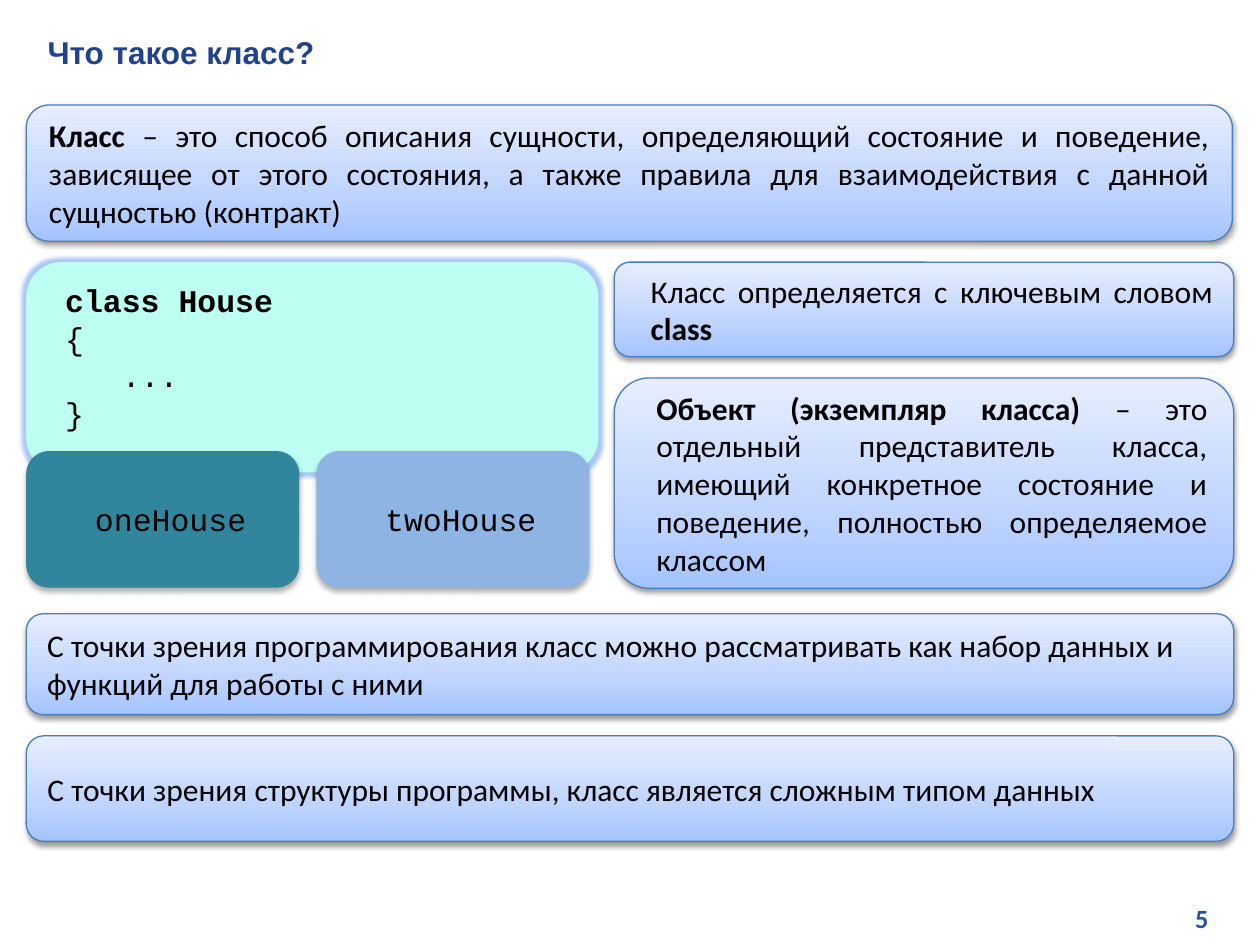
from lxml.etree import SubElement
from pptx import Presentation
from pptx.dml.color import RGBColor
from pptx.enum.shapes import MSO_SHAPE as SHAPE
from pptx.enum.text import MSO_ANCHOR as ANCHOR, MSO_AUTO_SIZE as AUTO, PP_ALIGN as ALIGN
from pptx.oxml import parse_xml
from pptx.oxml.ns import nsdecls, qn
from pptx.util import Pt

BLACK = RGBColor(0x00, 0x00, 0x00)
TITLE_BLUE = RGBColor(0x21, 0x43, 0x8F)
NUMBER_BLUE = RGBColor(0x27, 0x50, 0xAB)
OUTLINE = RGBColor(0x4B, 0x7E, 0xBC)
MINT = RGBColor(0xBD, 0xFF, 0xF2)
TEAL = RGBColor(0x31, 0x85, 0x9C)
SKY = RGBColor(0x8E, 0xB4, 0xE3)
GLOW = RGBColor(0x6F, 0xA0, 0xF0)
GRADIENT = [(0, RGBColor(0xA4, 0xC4, 0xFF)), (35, RGBColor(0xBF, 0xD4, 0xFF)),
            (100, RGBColor(0xE6, 0xEE, 0xFF))]


def add_box(rect, fill=None, effect=None, shape=SHAPE.ROUNDED_RECTANGLE):
    """Add a shape with a solid fill, or an outlined gradient when fill is None."""
    s = slide.shapes.add_shape(shape, *map(Pt, rect))
    if fill is None:
        s.fill.gradient()
        s.fill.gradient_angle = 90
        stops = s._element.spPr.find(".//" + qn("a:gsLst"))
        for stop in list(stops):
            stops.remove(stop)
        for pos, color in GRADIENT:
            stop = SubElement(stops, qn("a:gs"), pos=str(pos * 1000))
            SubElement(stop, qn("a:srgbClr"), val=str(color))
        s.line.color.rgb = OUTLINE
        s.line.width = Pt(0.75)
    else:
        s.fill.solid()
        s.fill.fore_color.rgb = fill
        s.line.fill.background()
    s.shadow.inherit = False
    if effect:
        s._element.spPr.find(qn("a:effectLst")).append(parse_xml(effect))
    return s


def write(tf, paragraphs, font="Calibri", size=18, color=BLACK, align=ALIGN.LEFT,
          indent=0, anchor=ANCHOR.MIDDLE):
    """Fill a text frame; each paragraph is a list of (text, bold) runs."""
    tf.word_wrap = True
    tf.auto_size = AUTO.NONE
    tf.vertical_anchor = anchor
    tf.margin_left = tf.margin_right = Pt(9.2)
    tf.margin_top = tf.margin_bottom = Pt(4.6)
    for i, runs in enumerate(paragraphs):
        p = tf.add_paragraph() if i else tf.paragraphs[0]
        p.alignment = align
        if indent:
            p._p.get_or_add_pPr().set("marL", str(Pt(indent)))
        p.font.name, p.font.size, p.font.color.rgb = font, Pt(size), color
        for text, bold in runs:
            r = p.add_run()
            r.text = text
            r.font.bold = bold


def shadow_xml(blur, distance, alpha):
    return (f'<a:outerShdw {nsdecls("a")} blurRad="{Pt(blur)}" dist="{Pt(distance)}" '
            f'dir="5400000" rotWithShape="0"><a:srgbClr val="000000">'
            f'<a:alpha val="{alpha * 1000}"/></a:srgbClr></a:outerShdw>')


PANEL_SHADOW = shadow_xml(3.1, 1.6, 38)
OBJECT_SHADOW = shadow_xml(3.5, 2.2, 32)
CODE_GLOW = (f'<a:glow {nsdecls("a")} rad="{Pt(5)}"><a:srgbClr val="{GLOW}">'
             f'<a:alpha val="60000"/></a:srgbClr></a:glow>')

prs = Presentation()
prs.slide_width, prs.slide_height = Pt(720), Pt(540)
slide = prs.slides.add_slide(prs.slide_layouts[5])

title = slide.shapes.title
title.left, title.top, title.width, title.height = Pt(18), Pt(14.4), Pt(687), Pt(29)
write(title.text_frame, [[("Что такое класс?", True)]], "Arial", color=TITLE_BLUE,
      anchor=ANCHOR.TOP)

# Code sample and the two objects of its class
LEFT = 15
add_box((LEFT, 149.8, 327, 120.2), MINT, CODE_GLOW)
code = add_box((28, 155.5, 192, 120.2), MINT, shape=SHAPE.FLOWCHART_DOCUMENT)
write(code.text_frame, [[("class House", True)], [("{", False)], [("   ...", False)],
                        [("}", False)]], "Courier New")
for i, (name, fill) in enumerate([("oneHouse", TEAL), ("twoHouse", SKY)]):
    s = add_box((LEFT + i * 165.8, 257.8, 156, 78), fill, OBJECT_SHADOW)
    write(s.text_frame, [[(name, False)]], "Courier New", align=ALIGN.CENTER, indent=9)

# Explanations: rectangle, alignment, indent, runs
RIGHT = 351
panels = [
    ((LEFT, 60, 689.2, 77.8), ALIGN.JUSTIFY, 0,
     [("Класс", True),
      (" – это способ описания сущности, определяющий состояние и поведение, "
       "зависящее от этого состояния, а также правила для взаимодействия с данной "
       "сущностью (контракт)", False)]),
    ((RIGHT, 149.8, 354, 54), ALIGN.JUSTIFY, 9,
     [("Класс определяется с ключевым словом ", False), ("class", True)]),
    ((RIGHT, 216, 354, 120.2), ALIGN.JUSTIFY, 9,
     [("Объект (экземпляр класса) ", True),
      ("– это отдельный представитель класса, имеющий конкретное состояние и "
       "поведение, полностью определяемое классом", False)]),
    ((LEFT, 350.8, 690, 57.6), ALIGN.LEFT, 0,
     [("С точки зрения программирования класс можно рассматривать как набор данных "
       "и функций для работы с ними", False)]),
    ((LEFT, 420.5, 690, 60.3), ALIGN.LEFT, 0,
     [("С точки зрения структуры программы, класс является сложным типом данных",
       False)]),
]
for rect, align, indent, runs in panels:
    s = add_box(rect, effect=PANEL_SHADOW)
    write(s.text_frame, [runs], align=align, indent=indent)

number = slide.shapes.add_textbox(Pt(547.2), Pt(511.2), Pt(152.6), Pt(27.4))
write(number.text_frame, [[("5", True)]], size=15, color=NUMBER_BLUE, align=ALIGN.RIGHT,
      anchor=ANCHOR.TOP)

prs.save("out.pptx")
